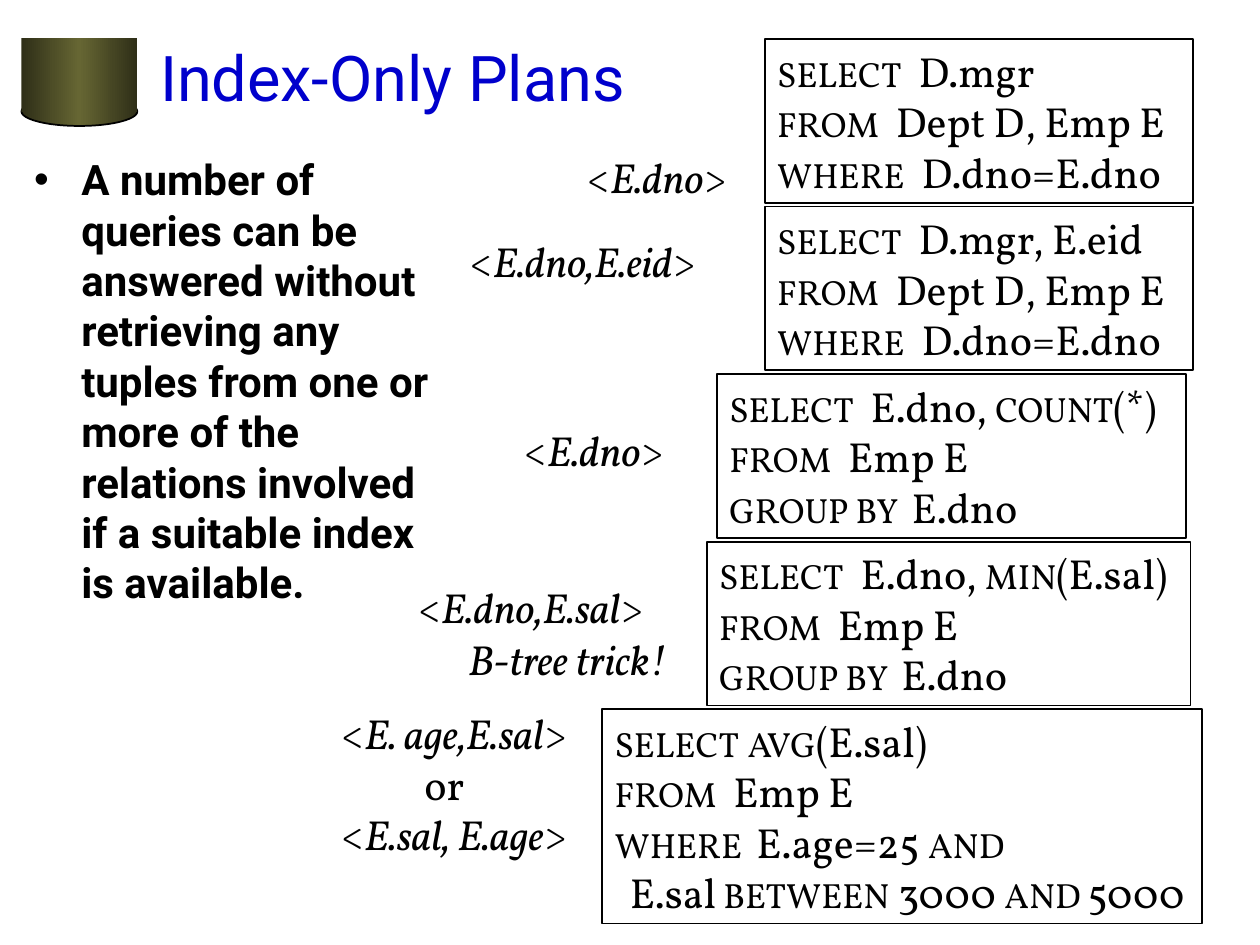
from lxml import etree
from pptx import Presentation
from pptx.dml.color import RGBColor
from pptx.enum.shapes import MSO_SHAPE
from pptx.enum.text import MSO_ANCHOR, MSO_AUTO_SIZE, PP_ALIGN
from pptx.oxml.ns import qn
from pptx.util import Inches, Pt

RECT, OVAL = MSO_SHAPE.RECTANGLE, MSO_SHAPE.OVAL
LEFT, TOP, MIDDLE = PP_ALIGN.LEFT, MSO_ANCHOR.TOP, MSO_ANCHOR.MIDDLE
GROW, FIXED = MSO_AUTO_SIZE.SHAPE_TO_FIT_TEXT, MSO_AUTO_SIZE.NONE
SANS, SERIF = "Roboto", "Vollkorn"
BLACK, BLUE = "000000", "0000CC"
DRUM = [(0, "2F2F18"), (50, "666633"), (100, "2F2F18")]

TITLE = "Index-Only Plans"
BODY = ("A number of queries can be answered without retrieving any tuples "
        "from one or more of the relations involved if a suitable index is "
        "available.")

# left, width, lines; "|" switches between keyword size and normal size
QUERIES = [
    (6.07, 3.4, ["SELECT|  D.mgr", "FROM|  Dept D, Emp E",
                 "WHERE|  D.dno=E.dno"]),
    (6.07, 3.4, ["SELECT|  D.mgr, E.eid", "FROM|  Dept D, Emp E",
                 "WHERE|  D.dno=E.dno"]),
    (5.69, 3.72, ["SELECT|  E.dno, |COUNT|(*)", "FROM|  Emp E",
                  "GROUP BY  |E.dno"]),
    (5.61, 3.84, ["SELECT|  E.dno, |MIN|(E.sal)", "FROM|  Emp E",
                  "GROUP BY  |E.dno"]),
    (4.78, 4.76, ["SELECT| |AVG|(E.sal)", "FROM|  Emp E",
                  "WHERE  |E.age=25 |AND",
                  "|E.sal| BETWEEN| 3000 |AND |5000"]),
]
QUERY_TOP, QUERY_STEP = 0.31, 1.33
LINE, PAD = 0.4, 0.1
HANG = 0.12  # indent of a continued query line

# left, top, width, lines; "|" switches between upright and italic
KEYS = [
    (4.56, 1.15, 1.41, ["<|E.dno|>"]),
    (3.63, 1.82, 2.2, ["<|E.dno,E.eid|>"]),
    (4.06, 3.32, 1.41, ["<|E.dno|>"]),
    (3.22, 4.57, 2.17, ["<|E.dno,E.sal|>"]),
    (3.62, 4.98, 1.9, ["|B-tree trick!"]),
    (2.61, 5.57, 2.23, ["<|E. age,E.sal|>", "or", "<|E.sal, E.age|>"]),
]
OR_INDENT = 0.66


def rgb(hex):
    return RGBColor.from_string(hex)


def style(para, size, face, hex):
    font = para.font
    font.size, font.name = Pt(size), face
    font.color.rgb = rgb(hex)


def place(shape, left, top, width, height):
    shape.left, shape.top = Inches(left), Inches(top)
    shape.width, shape.height = Inches(width), Inches(height)


def indent(para, left):
    para._p.get_or_add_pPr().set("marL", str(Inches(left)))


def fill_text(shape, lines, mark):
    """Write lines of runs split at "|"; mark(run, odd) formats each run."""
    frame = shape.text_frame
    frame.word_wrap, frame.auto_size = False, GROW
    frame.vertical_anchor = TOP
    for i, line in enumerate(lines):
        para = frame.add_paragraph() if i else frame.paragraphs[0]
        para.alignment = LEFT
        style(para, 24, SERIF, BLACK)
        for j, part in enumerate(line.split("|")):
            if part:
                run = para.add_run()
                run.text = part
                mark(run, j % 2 == 1)
    return frame.paragraphs


def mark_word(run, odd):
    run.font.size = Pt(24 if odd else 20)


def mark_key(run, odd):
    run.font.italic = odd


def add_shape(shapes, kind, left, top, width, height):
    shape = shapes.add_shape(kind, Inches(left), Inches(top),
                             Inches(width), Inches(height))
    shape.shadow.inherit = False
    shape.line.color.rgb = rgb(BLACK)
    shape.line.width = Pt(1)
    return shape


def shade(shape, stops):
    shape.fill.gradient()
    shape.fill.gradient_angle = 0
    items = shape._element.spPr.find(qn("a:gradFill")).find(qn("a:gsLst"))
    for old in list(items):
        items.remove(old)
    for pos, hex in stops:
        stop = etree.SubElement(items, qn("a:gs"), pos=str(pos * 1000))
        etree.SubElement(stop, qn("a:srgbClr"), val=hex)


def main():
    deck = Presentation()
    deck.slide_width, deck.slide_height = Inches(10), Inches(7.5)
    slide = deck.slides.add_slide(deck.slide_layouts[1])
    shapes = slide.shapes

    drum = shapes.add_group_shape().shapes
    base = add_shape(drum, OVAL, 0.17, 0.77, 0.92, 0.23)
    side = add_shape(drum, RECT, 0.17, 0.3, 0.92, 0.59)
    side.line.fill.background()
    for part in (base, side):
        shade(part, DRUM)

    title, body = shapes.title, slide.placeholders[1]
    place(title, 1.17, 0, 8.5, 1.21)
    place(body, 0.17, 1.17, 3.33, 5.25)
    for holder, text, size, hex, anchor in (
            (title, TITLE, 36, BLUE, MIDDLE), (body, BODY, 24, BLACK, TOP)):
        frame = holder.text_frame
        frame.text = text
        frame.auto_size, frame.vertical_anchor = FIXED, anchor
        para = frame.paragraphs[0]
        para.alignment = LEFT
        style(para, size, SANS, hex)
    para.font.bold = True
    para.space_before = Pt(6)

    for i, (left, width, lines) in enumerate(QUERIES):
        box = add_shape(shapes, RECT, left, QUERY_TOP + i * QUERY_STEP,
                        width, len(lines) * LINE + PAD)
        box.fill.background()
        for para in fill_text(box, lines, mark_word):
            if para.text.startswith("E."):
                indent(para, HANG)

    for left, top, width, lines in KEYS:
        box = shapes.add_textbox(Inches(left), Inches(top), Inches(width),
                                 Inches(len(lines) * LINE + PAD))
        for para in fill_text(box, lines, mark_key):
            if para.text == "or":
                indent(para, OR_INDENT)

    deck.save("out.pptx")


if __name__ == "__main__":
    main()
